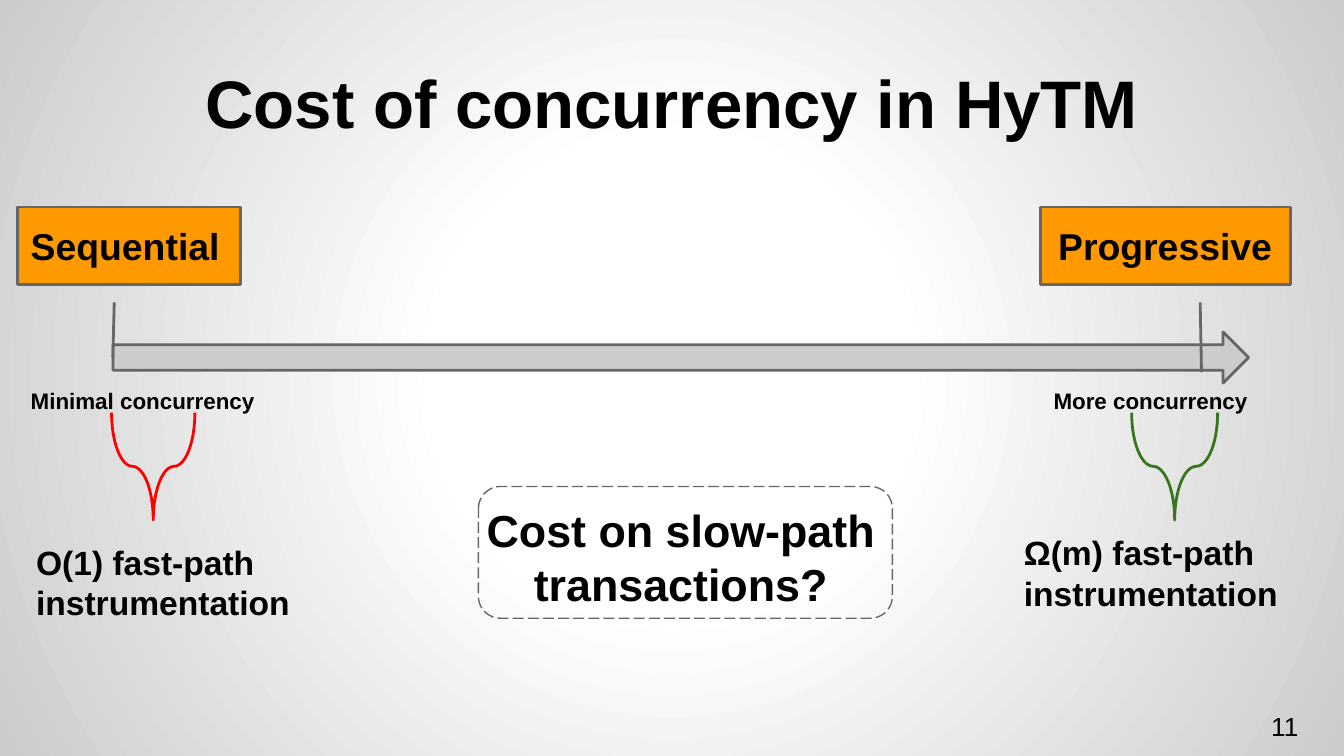
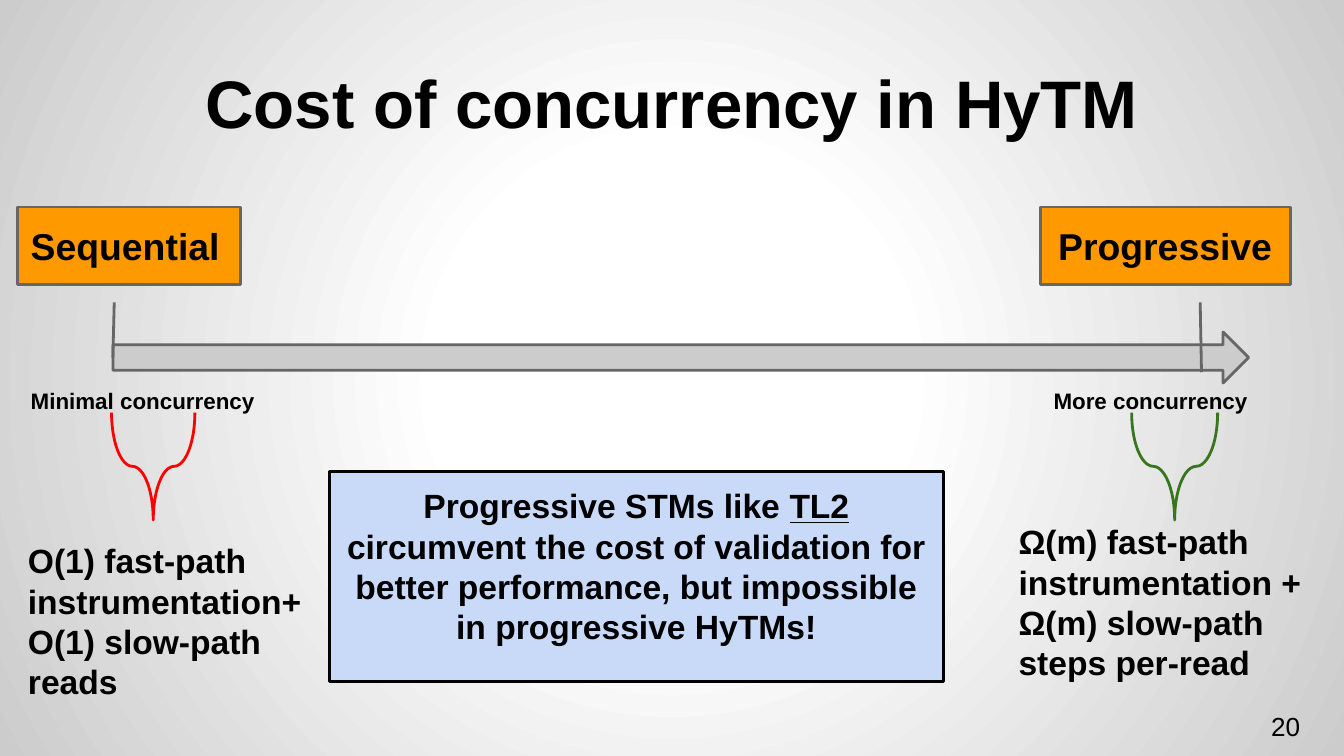
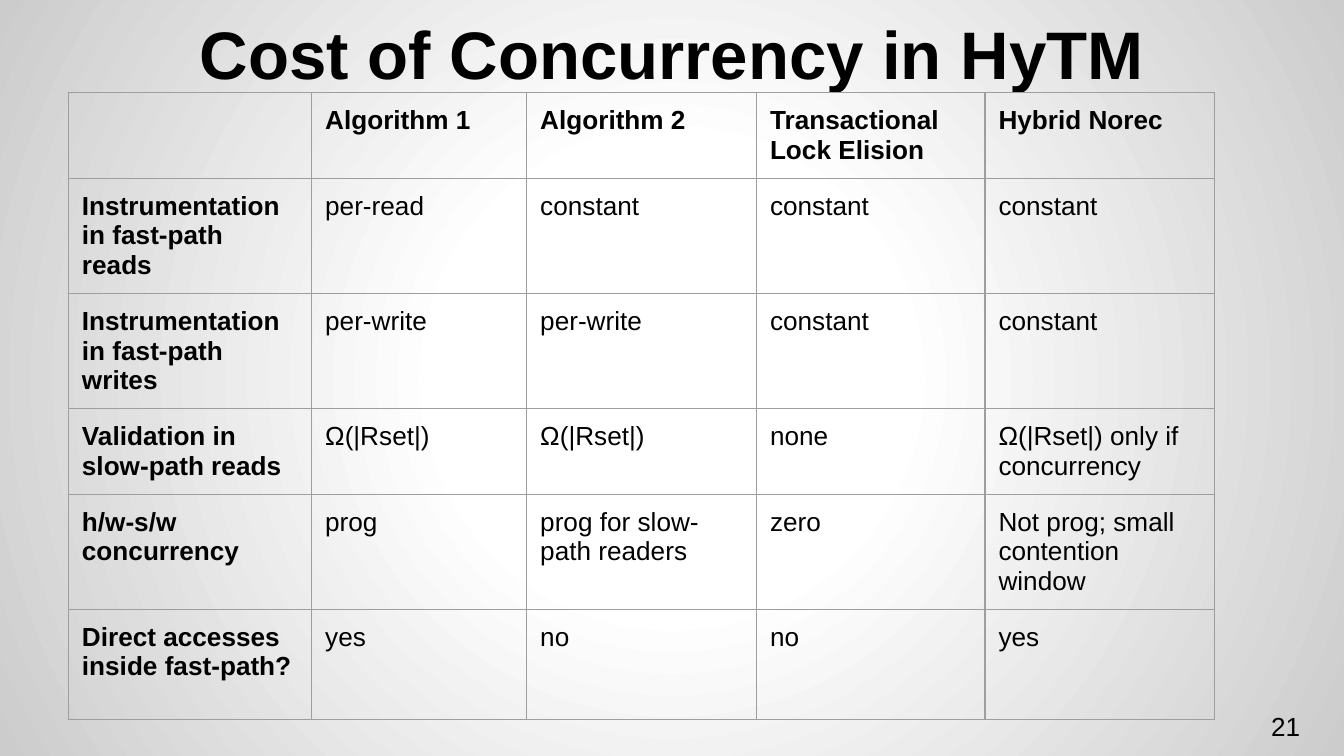
from dataclasses import dataclass
from typing import NamedTuple

from lxml import etree
from pptx import Presentation
from pptx.dml.color import RGBColor
from pptx.enum.dml import MSO_LINE
from pptx.enum.shapes import MSO_CONNECTOR, MSO_SHAPE
from pptx.enum.text import MSO_ANCHOR, MSO_AUTO_SIZE, PP_ALIGN
from pptx.oxml import parse_xml
from pptx.oxml.ns import nsdecls, qn
from pptx.util import Emu, Pt

PX = 9144  # EMU per px, 100 px to the inch
SLIDE_WIDTH = 1000
INSET = 10
FONT = "Arial"
COLORS = {
    "white": "FFFFFF",
    "text": "000000",
    "axis": "CCCCCC",
    "outline": "666666",
    "label": "FF9900",
    "low_cost": "FF0000",
    "high_cost": "38761D",
    "callout": "C9DAF8",
    "grid": "9E9E9E",
}


class Box(NamedTuple):
    left: int
    top: int
    width: int
    height: int


class Tick(NamedTuple):
    start_x: int
    start_y: int
    end_x: int
    end_y: int


class Note(NamedTuple):
    text: str
    box: Box


@dataclass(frozen=True)
class AxisEnd:
    label: Note
    align: PP_ALIGN
    tick: Tick
    caption: Note
    brace: Box
    brace_color: str


TITLE_BOX = Box(50, 23, 900, 93)
TABLE_TITLE_BOX = Box(50, 9, 900, 70)
NUMBER_BOX = Box(936, 519, 60, 43)
AXIS_BOX = Box(84, 247, 845, 38)

AXIS_ENDS = (
    AxisEnd(Note("Sequential", Box(13, 154, 166, 58)), PP_ALIGN.LEFT,
            Tick(85, 225, 84, 266),
            Note("Minimal concurrency", Box(13, 278, 195, 41)),
            Box(74, 316, 80, 62), "low_cost"),
    AxisEnd(Note("Progressive", Box(774, 154, 186, 58)), PP_ALIGN.CENTER,
            Tick(893, 225, 894, 277),
            Note("More concurrency", Box(774, 278, 211, 41)),
            Box(834, 315, 80, 64), "high_cost"),
)

TABLE_BOX = Box(51, 69, 853, 408)
COLUMN_WIDTHS = (181, 160, 171, 170, 171)
ROW_HEIGHTS = (40, 82, 82, 61, 61, 82)
TABLE_ROWS = (
    ("", "Algorithm 1", "Algorithm 2", "Transactional Lock Elision", "Hybrid Norec"),
    ("Instrumentation in fast-path reads", "per-read", "constant", "constant", "constant"),
    ("Instrumentation in fast-path writes", "per-write", "per-write", "constant", "constant"),
    ("Validation in slow-path reads", "Ω(|Rset|)", "Ω(|Rset|)", "none",
     "Ω(|Rset|) only if concurrency"),
    ("h/w-s/w concurrency", "prog", "prog for slow-path readers", "zero",
     "Not prog; small contention window"),
    ("Direct accesses inside fast-path?", "yes", "no", "no", "yes"),
)


def rgb(name: str) -> RGBColor:
    return RGBColor.from_string(COLORS[name])


def emu(lengths) -> list[Emu]:
    return [Emu(length * PX) for length in lengths]


# Text
def write_text(frame, text: str, *, size: int, bold: bool = True,
               align: PP_ALIGN = PP_ALIGN.LEFT, underlined: str = "") -> None:
    paragraph = frame.paragraphs[0]
    paragraph.alignment = align
    for part in text.partition(underlined) if underlined else (text,):
        run = paragraph.add_run()
        run.text = part
        run.font.name = FONT
        run.font.size = Pt(size)
        run.font.bold = bold
        run.font.color.rgb = rgb("text")
        if underlined and part == underlined:
            run.font.underline = True


def set_frame(frame, anchor: MSO_ANCHOR) -> None:
    frame.word_wrap = True
    frame.auto_size = MSO_AUTO_SIZE.NONE
    frame.vertical_anchor = anchor
    frame.margin_left = frame.margin_right = Emu(INSET * PX)
    frame.margin_top = frame.margin_bottom = Emu(INSET * PX)


def add_text(shapes, note: Note, *, anchor: MSO_ANCHOR = MSO_ANCHOR.TOP, **text_format) -> None:
    frame = shapes.add_textbox(*emu(note.box)).text_frame
    set_frame(frame, anchor)
    write_text(frame, note.text, **text_format)


# Shapes and lines
def add_shape(shapes, kind: MSO_SHAPE, box: Box, *, fill: str = "",
              line: str = "outline", width: float = 1.5):
    shape = shapes.add_shape(kind, *emu(box))
    shape.shadow.inherit = False
    if fill:
        shape.fill.solid()
        shape.fill.fore_color.rgb = rgb(fill)
    else:
        shape.fill.background()
    shape.line.color.rgb = rgb(line)
    shape.line.width = Pt(width)
    return shape


def add_tick(shapes, tick: Tick) -> None:
    connector = shapes.add_connector(MSO_CONNECTOR.STRAIGHT, *emu(tick))
    connector.line.color.rgb = rgb("outline")
    connector.line.width = Pt(1.5)
    etree.SubElement(connector._element.spPr, qn("a:effectLst"))


# Shared slide parts
def set_background(master) -> None:
    master.background.fill.solid()
    properties = master.element.find(".//" + qn("p:bgPr"))
    stops = "".join(
        f'<a:gs pos="{percent * 1000}"><a:srgbClr val="{COLORS[name]}"/></a:gs>'
        for percent, name in ((0, "white"), (30, "white"), (100, "axis")))
    gradient = parse_xml(
        f'<a:gradFill {nsdecls("a")}><a:gsLst>{stops}</a:gsLst><a:path path="circle">'
        '<a:fillToRect l="50000" t="50000" r="50000" b="50000"/></a:path></a:gradFill>')
    properties.replace(properties.find(qn("a:solidFill")), gradient)


def add_slide(presentation, title: Note, number: int):
    slide = presentation.slides.add_slide(presentation.slide_layouts[5])
    shape = slide.shapes.title
    shape.left, shape.top, shape.width, shape.height = emu(title.box)
    set_frame(shape.text_frame, MSO_ANCHOR.BOTTOM)
    write_text(shape.text_frame, title.text, size=36, align=PP_ALIGN.CENTER)
    add_text(slide.shapes, Note(str(number), NUMBER_BOX), size=14, bold=False,
             anchor=MSO_ANCHOR.MIDDLE)
    return slide


def add_axis_slide(presentation, number: int, costs: tuple[Note, Note]):
    slide = add_slide(presentation, Note("Cost of concurrency in HyTM", TITLE_BOX), number)
    shapes = slide.shapes
    add_shape(shapes, MSO_SHAPE.RIGHT_ARROW, AXIS_BOX, fill="axis")
    for end, cost in zip(AXIS_ENDS, costs):
        label = add_shape(shapes, MSO_SHAPE.RECTANGLE, end.label.box, fill="label")
        set_frame(label.text_frame, MSO_ANCHOR.MIDDLE)
        write_text(label.text_frame, end.label.text, size=20, align=end.align)
        add_tick(shapes, end.tick)
        add_text(shapes, end.caption, size=12)
        brace = add_shape(shapes, MSO_SHAPE.RIGHT_BRACE, end.brace, line=end.brace_color)
        brace.adjustments[0] = 5.1
        brace.rotation = 90
        add_text(shapes, cost, size=18)
    return slide


# Centre pieces
def add_question(slide) -> None:
    group = slide.shapes.add_group_shape()
    question = Note("Cost on slow-path transactions?", Box(315, 362, 383, 104))
    add_text(group.shapes, question, size=24, align=PP_ALIGN.CENTER, anchor=MSO_ANCHOR.MIDDLE)
    frame = add_shape(group.shapes, MSO_SHAPE.ROUNDED_RECTANGLE, Box(356, 362, 308, 98),
                      width=0.75)
    frame.line.dash_style = MSO_LINE.LONG_DASH


def add_callout(slide) -> None:
    callout = add_shape(slide.shapes, MSO_SHAPE.RECTANGLE, Box(245, 351, 457, 156),
                        fill="callout", line="text")
    set_frame(callout.text_frame, MSO_ANCHOR.TOP)
    write_text(callout.text_frame,
               "Progressive STMs like TL2 circumvent the cost of validation for better "
               "performance, but impossible in progressive HyTMs!",
               size=18, align=PP_ALIGN.CENTER, underlined="TL2")


# Comparison table
def set_borders(cell) -> None:
    properties = cell._tc.get_or_add_tcPr()
    for index, side in enumerate(("lnL", "lnR", "lnT", "lnB")):
        properties.insert(index, parse_xml(
            f'<a:{side} {nsdecls("a")} w="{Pt(0.75)}"><a:solidFill>'
            f'<a:srgbClr val="{COLORS["grid"]}"/></a:solidFill></a:{side}>'))


def add_comparison(slide) -> None:
    table = slide.shapes.add_table(len(ROW_HEIGHTS), len(COLUMN_WIDTHS), *emu(TABLE_BOX)).table
    table.first_row = table.horz_banding = False
    for column, width in zip(table.columns, emu(COLUMN_WIDTHS)):
        column.width = width
    for row, height in zip(table.rows, emu(ROW_HEIGHTS)):
        row.height = height
    for row_index, texts in enumerate(TABLE_ROWS):
        for column_index, text in enumerate(texts):
            cell = table.cell(row_index, column_index)
            cell.margin_left = cell.margin_right = Emu(INSET * PX)
            cell.margin_top = cell.margin_bottom = Emu(INSET * PX)
            cell.fill.background()
            set_borders(cell)
            if text:
                write_text(cell.text_frame, text, size=14,
                           bold=row_index == 0 or column_index == 0)


def main() -> None:
    presentation = Presentation()
    presentation.slide_width = Emu(SLIDE_WIDTH * PX)
    presentation.slide_height = Emu(SLIDE_WIDTH * PX * 9 // 16)
    set_background(presentation.slide_master)

    add_question(add_axis_slide(presentation, 11, (
        Note("O(1) fast-path instrumentation", Box(17, 393, 222, 74)),
        Note("Ω(m) fast-path instrumentation", Box(752, 386, 222, 74)))))

    add_callout(add_axis_slide(presentation, 20, (
        Note("O(1) fast-path instrumentation+O(1) slow-path reads", Box(11, 392, 227, 128)),
        Note("Ω(m) fast-path instrumentation + Ω(m) slow-path steps per-read",
             Box(748, 378, 242, 156)))))

    add_comparison(add_slide(
        presentation, Note("Cost of Concurrency in HyTM", TABLE_TITLE_BOX), 21))

    presentation.save("out.pptx")


if __name__ == "__main__":
    main()
